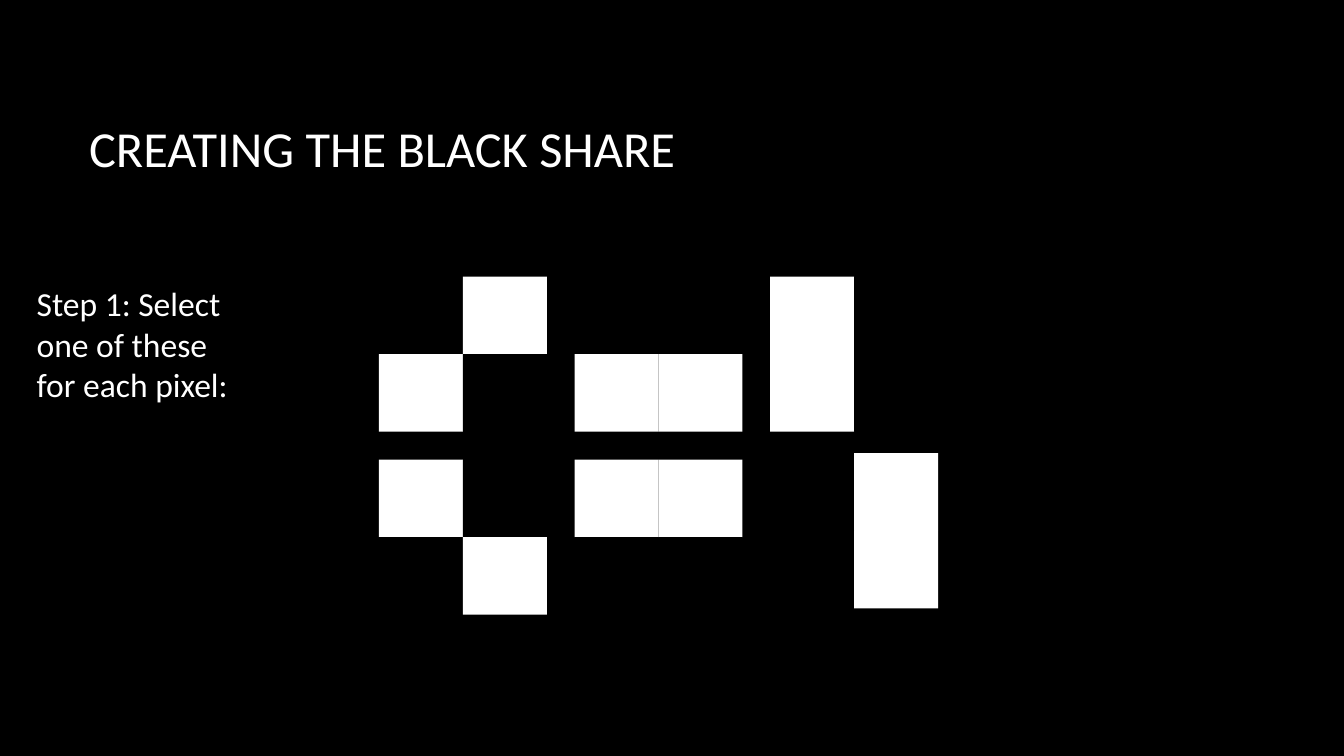
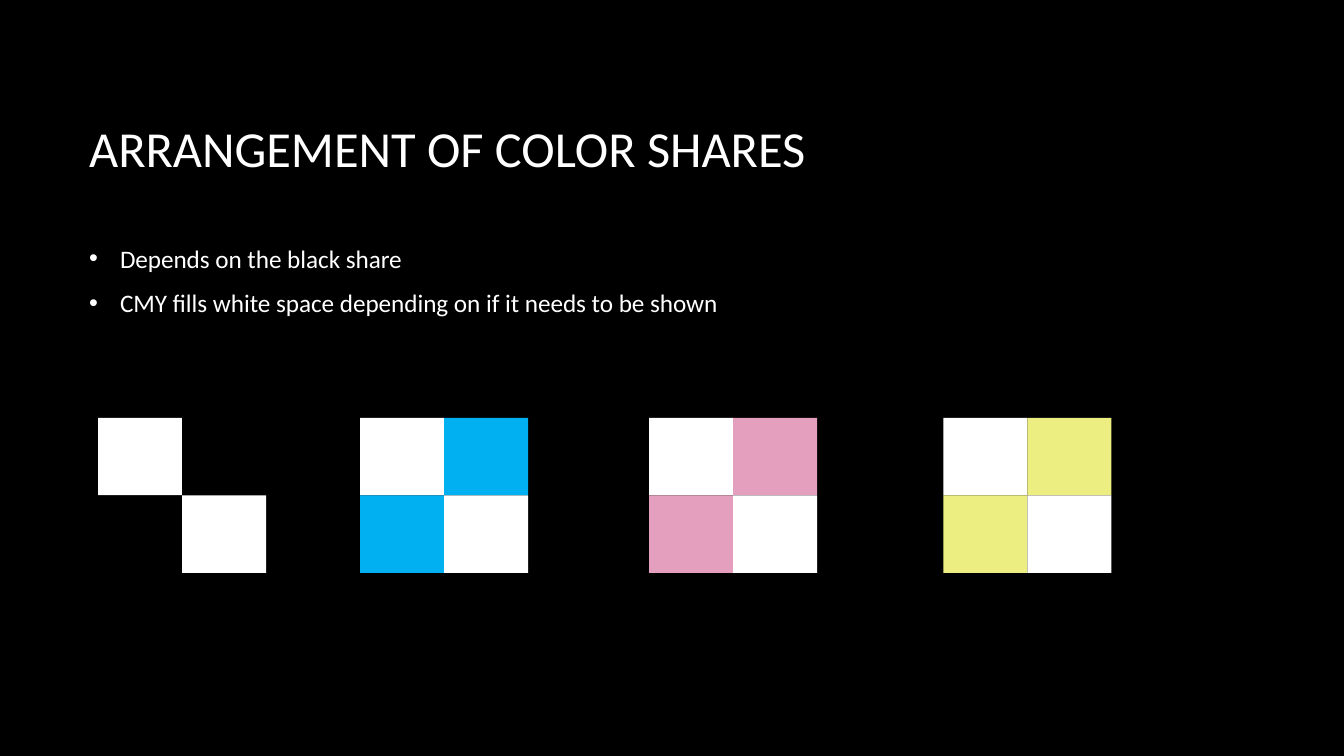
from lxml import etree
from pptx import Presentation
from pptx.dml.color import RGBColor
from pptx.enum.shapes import MSO_SHAPE
from pptx.enum.text import MSO_ANCHOR, MSO_AUTO_SIZE, PP_ALIGN
from pptx.oxml.ns import qn
from pptx.util import Inches, Pt

RECTANGLE = MSO_SHAPE.RECTANGLE
TOP, MIDDLE = MSO_ANCHOR.TOP, MSO_ANCHOR.MIDDLE
FIXED_SIZE, GROW = MSO_AUTO_SIZE.NONE, MSO_AUTO_SIZE.SHAPE_TO_FIT_TEXT
LEFT = PP_ALIGN.LEFT

BLACK = RGBColor(0x00, 0x00, 0x00)
WHITE = RGBColor(0xFF, 0xFF, 0xFF)
CYAN = RGBColor(0x00, 0xB0, 0xF0)
MAGENTA = RGBColor(0xE3, 0x9F, 0xBD)
YELLOW = RGBColor(0xEC, 0xEE, 0x82)
FONT = "Calibri"

SLIDE_WIDTH = Inches(10)
SLIDE_HEIGHT = SLIDE_WIDTH * 9 // 16

# Boxes are left, top, width, height in percent of the slide.
TITLE_BOX = (5.63, 8.89, 83.1, 21.16)
BODY_BOX = (5.63, 31.29, 83.1, 53.16)
STEP_BOX = (1.74, 36.6, 18.1, 17.96)
PIXEL_WIDTH, PIXEL_HEIGHT = 6.25, 10.26

CHOICES_LEFT, CHOICE_STEP = 28.2, 14.55
UPPER_ROW, LOWER_ROW, RAISED_LOWER_ROW = 36.6, 60.8, 59.96
# Column, top and rows of each choice: W is white, K black, a dot is left open.
CHOICES = [
    (0, UPPER_ROW, (".W", "WK")),
    (1, UPPER_ROW, ("KK", "WW")),
    (1, LOWER_ROW, ("WW", "KK")),
    (0, LOWER_ROW, ("WK", "KW")),
    (2, UPPER_ROW, ("WK", "WK")),
    (2, RAISED_LOWER_ROW, ("KW", "KW")),
]
INKS = {"W": WHITE, "K": BLACK, "C": CYAN, "M": MAGENTA, "Y": YELLOW}
SHARES_TOP = 55.29
SHARE_LEFTS = {"K": 7.3, "C": 26.8, "M": 48.3, "Y": 70.2}


def to_lengths(box):
    """Turn a box in percent of the slide into slide lengths."""
    sides = (SLIDE_WIDTH, SLIDE_HEIGHT, SLIDE_WIDTH, SLIDE_HEIGHT)
    return [round(side * share / 100) for side, share in zip(sides, box)]


def place(shape, box):
    shape.left, shape.top, shape.width, shape.height = to_lengths(box)


def write_text(shape, *lines, size, anchor=TOP, auto_size=FIXED_SIZE,
               space_after=0, bullet_indent=None):
    frame = shape.text_frame
    frame.word_wrap = True
    frame.auto_size = auto_size
    frame.vertical_anchor = anchor
    frame.text = "\n".join(lines)
    for paragraph in frame.paragraphs:
        paragraph.alignment = LEFT
        paragraph.space_before = Pt(0)
        paragraph.space_after = Pt(space_after)
        if bullet_indent:
            add_bullet(paragraph, bullet_indent)
        for run in paragraph.runs:
            run.font.name = FONT
            run.font.size = Pt(size)
            run.font.color.rgb = WHITE


def add_bullet(paragraph, indent):
    properties = paragraph._p.get_or_add_pPr()
    properties.set("marL", str(Inches(indent)))
    properties.set("indent", str(-Inches(indent)))
    color = etree.SubElement(properties, qn("a:buClr"))
    etree.SubElement(color, qn("a:srgbClr"), val=str(WHITE))
    etree.SubElement(properties, qn("a:buFont"), typeface="Arial")
    etree.SubElement(properties, qn("a:buChar"), char="•")


def add_titled_slide(presentation, layout_name, title):
    layout = presentation.slide_layouts.get_by_name(layout_name)
    slide = presentation.slides.add_slide(layout)
    place(slide.shapes.title, TITLE_BOX)
    write_text(slide.shapes.title, title, size=27, anchor=MIDDLE)
    return slide


def add_pixel_block(shapes, left, top, rows):
    """Draw rows of ink letters as a grid of touching subpixels."""
    for row, inks in enumerate(rows):
        for column, ink in enumerate(inks):
            if ink not in INKS:
                continue
            box = (left + column * PIXEL_WIDTH, top + row * PIXEL_HEIGHT,
                   PIXEL_WIDTH, PIXEL_HEIGHT)
            pixel = shapes.add_shape(RECTANGLE, *to_lengths(box))
            pixel.shadow.inherit = False
            pixel.fill.solid()
            pixel.fill.fore_color.rgb = INKS[ink]
            pixel.line.fill.background()


def add_black_share_slide(presentation):
    slide = add_titled_slide(presentation, "Title Only", "CREATING THE BLACK SHARE")
    for column, top, rows in CHOICES:
        group = slide.shapes.add_group_shape()
        add_pixel_block(group.shapes, CHOICES_LEFT + column * CHOICE_STEP, top, rows)
    step = slide.shapes.add_textbox(*to_lengths(STEP_BOX))
    write_text(step, "Step 1: Select one of these for each pixel:",
               size=18, auto_size=GROW)


def add_color_shares_slide(presentation):
    slide = add_titled_slide(presentation, "Title and Content",
                             "ARRANGEMENT OF COLOR SHARES")
    body = slide.placeholders[1]
    place(body, BODY_BOX)
    write_text(body, "Depends on the black share",
               "CMY fills white space depending on if it needs to be shown",
               size=13.5, space_after=7.5, bullet_indent=0.23)
    for ink, left in SHARE_LEFTS.items():
        add_pixel_block(slide.shapes, left, SHARES_TOP, ("W" + ink, ink + "W"))


def main():
    presentation = Presentation()
    presentation.slide_width = SLIDE_WIDTH
    presentation.slide_height = SLIDE_HEIGHT
    background = presentation.slide_master.background.fill
    background.solid()
    background.fore_color.rgb = BLACK
    add_black_share_slide(presentation)
    add_color_shares_slide(presentation)
    presentation.save("out.pptx")


if __name__ == "__main__":
    main()
